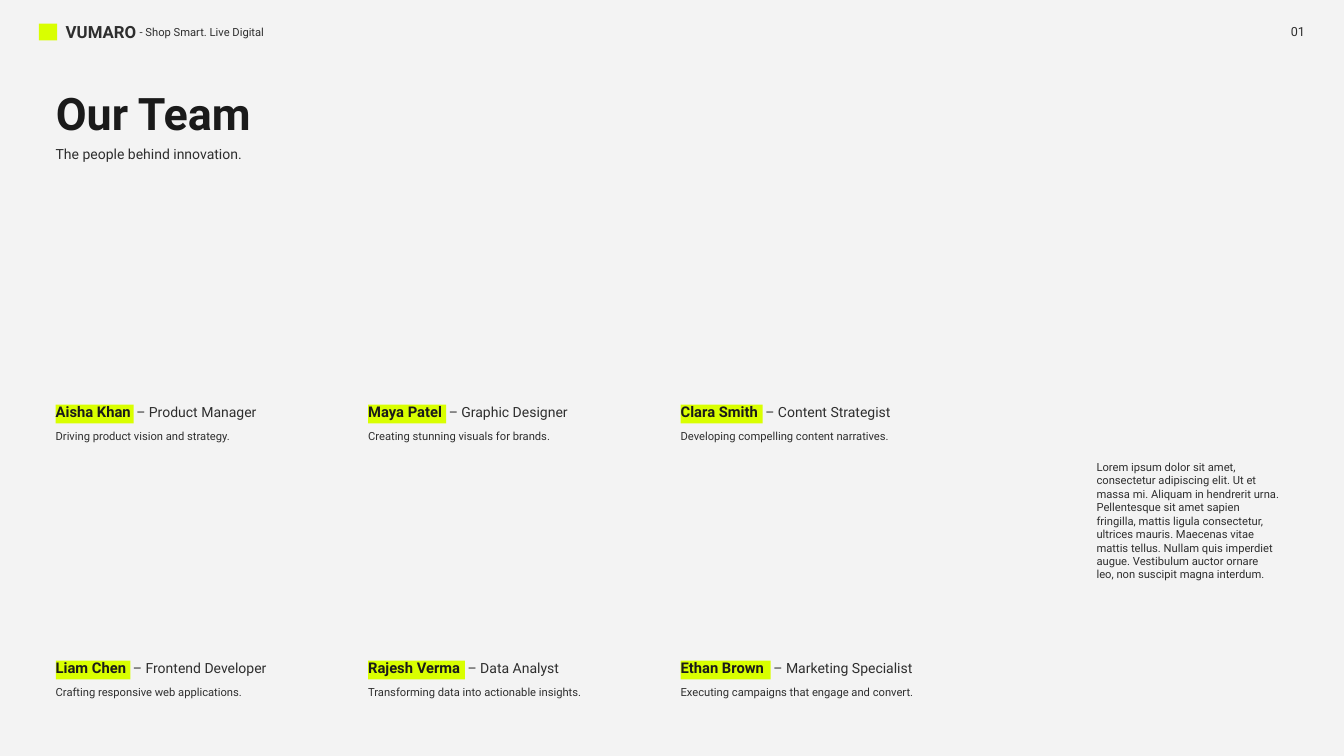
"""Build the "Our Team" slide with six members in a three by two grid."""
from typing import NamedTuple

from pptx import Presentation
from pptx.dml.color import RGBColor
from pptx.enum.shapes import MSO_SHAPE
from pptx.enum.text import MSO_ANCHOR, MSO_AUTO_SIZE, PP_ALIGN
from pptx.util import Inches, Pt

FONT = "Roboto"
BACKGROUND = RGBColor(0xF3, 0xF3, 0xF3)
LIME = RGBColor(0xD9, 0xFF, 0x00)
BLACK = RGBColor(0x1A, 0x1A, 0x1A)
GRAY = RGBColor(0x2E, 0x2E, 0x2E)

LEFT, COLUMN_PITCH, COLUMNS = 0.73, 4.65, 3
TOP, ROW_PITCH = 5.95, 3.81
INSET = 0.1


class Box(NamedTuple):
    left: float
    top: float
    width: float
    height: float


class Style(NamedTuple):
    size: float
    color: RGBColor = GRAY
    bold: bool = False


class Member(NamedTuple):
    name: str
    role: str
    summary: str
    mark_width: float
    role_width: float
    summary_width: float


TITLE = Style(48, BLACK, True)
NAME = Style(15.8, BLACK, True)
BRAND = Style(18, GRAY, True)
LEAD = Style(15)
BODY = Style(12)
NUMBER = Style(13.5)

MEMBERS = [
    Member("Aisha Khan", "Product Manager",
           "Driving product vision and strategy.", 1.16, 2.06, 2.97),
    Member("Maya Patel", "Graphic Designer",
           "Creating stunning visuals for brands.", 1.16, 2.07, 3.03),
    Member("Clara Smith", "Content Strategist",
           "Developing compelling content narratives.", 1.22, 2.19, 3.54),
    Member("Liam Chen", "Frontend Developer",
           "Crafting responsive web applications.", 1.11, 2.33, 3.18),
    Member("Rajesh Verma", "Data Analyst",
           "Transforming data into actionable insights.", 1.44, 1.58, 3.52),
    Member("Ethan Brown", "Marketing Specialist",
           "Executing campaigns that engage and convert.", 1.34, 2.35, 3.9),
]

ABOUT = [
    "Lorem ipsum dolor sit amet,",
    "consectetur adipiscing elit. Ut et",
    "massa mi. Aliquam in hendrerit urna.",
    "Pellentesque sit amet sapien",
    "fringilla, mattis ligula consectetur,",
    "ultrices mauris. Maecenas vitae",
    "mattis tellus. Nullam quis imperdiet",
    "augue. Vestibulum auctor ornare",
    "leo, non suscipit magna interdum.",
]


def write(sp, lines: list[str], style: Style, wrap: bool = False) -> None:
    tf = sp.text_frame
    tf.word_wrap = wrap
    tf.auto_size = MSO_AUTO_SIZE.SHAPE_TO_FIT_TEXT
    tf.vertical_anchor = MSO_ANCHOR.TOP
    for i, line in enumerate(lines):
        p = tf.add_paragraph() if i else tf.paragraphs[0]
        p.alignment = PP_ALIGN.LEFT
        r = p.add_run()
        r.text = line
        r.font.name = FONT
        r.font.size = Pt(style.size)
        r.font.bold = style.bold
        r.font.color.rgb = style.color


def add_text(s, box: Box, lines: list[str], style: Style, wrap: bool = False) -> None:
    write(s.shapes.add_textbox(*map(Inches, box)), lines, style, wrap)


def add_block(s, box: Box) -> None:
    sp = s.shapes.add_shape(MSO_SHAPE.RECTANGLE, *map(Inches, box))
    sp.shadow.inherit = False
    sp.fill.solid()
    sp.fill.fore_color.rgb = LIME
    sp.line.fill.background()


def add_member(s, member: Member, left: float, top: float) -> None:
    mark = Box(left + INSET, top + 0.07, member.mark_width, 0.28)
    role_left = mark.left + mark.width - 0.06
    add_block(s, mark)
    add_text(s, Box(left, top, mark.width + 0.19, 0.38), [member.name], NAME)
    add_text(s, Box(role_left, top, member.role_width, 0.36),
             [f"– {member.role}"], LEAD)
    add_text(s, Box(left, top + 0.39, member.summary_width, 0.31),
             [member.summary], BODY)


def add_header(s) -> None:
    add_block(s, Box(0.58, 0.35, 0.27, 0.25))
    add_text(s, Box(0.88, 0.27, 1.25, 0.41), ["VUMARO"], BRAND)
    add_text(s, Box(1.98, 0.32, 2.16, 0.31), ["- Shop Smart. Live Digital"], BODY)
    add_text(s, Box(19.11, 0.31, 0.41, 0.34), ["01"], NUMBER)


def add_title(s) -> None:
    sp = s.shapes.title
    sp.left, sp.top, sp.width, sp.height = map(Inches, Box(LEFT, 1.22, 3.27, 0.94))
    write(sp, ["Our Team"], TITLE)
    add_text(s, Box(LEFT, 2.11, 3.16, 0.36), ["The people behind innovation."], LEAD)


def main() -> None:
    prs = Presentation()
    prs.slide_width, prs.slide_height = Inches(20), Inches(11.25)
    s = prs.slides.add_slide(prs.slide_layouts.get_by_name("Title Only"))
    s.background.fill.solid()
    s.background.fill.fore_color.rgb = BACKGROUND
    add_title(s)
    for i, member in enumerate(MEMBERS):
        row, column = divmod(i, COLUMNS)
        add_member(s, member, LEFT + column * COLUMN_PITCH, TOP + row * ROW_PITCH)
    add_header(s)
    add_text(s, Box(16.22, 6.8, 3.4, 1.92), ABOUT, BODY, wrap=True)
    prs.save("out.pptx")


if __name__ == "__main__":
    main()
